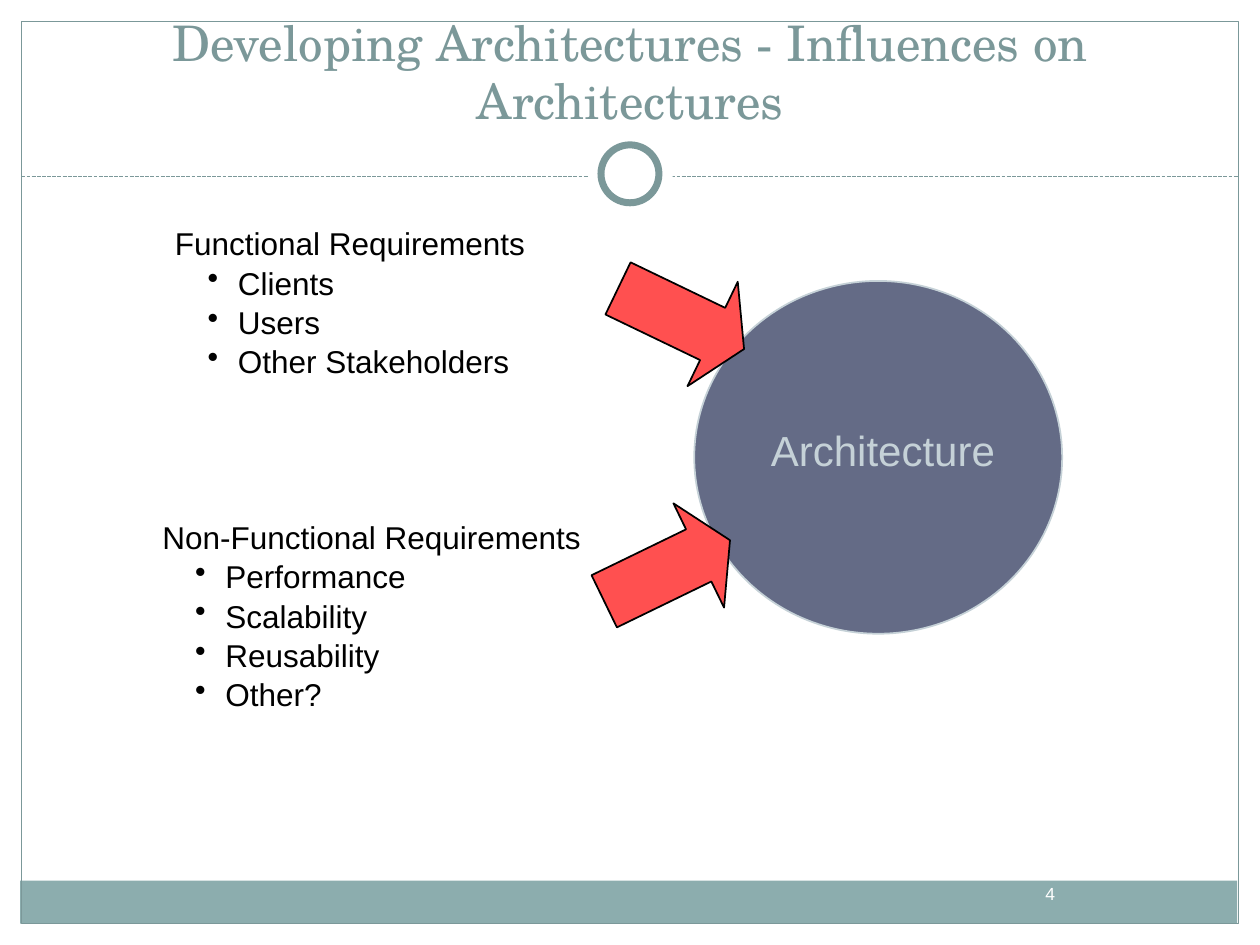
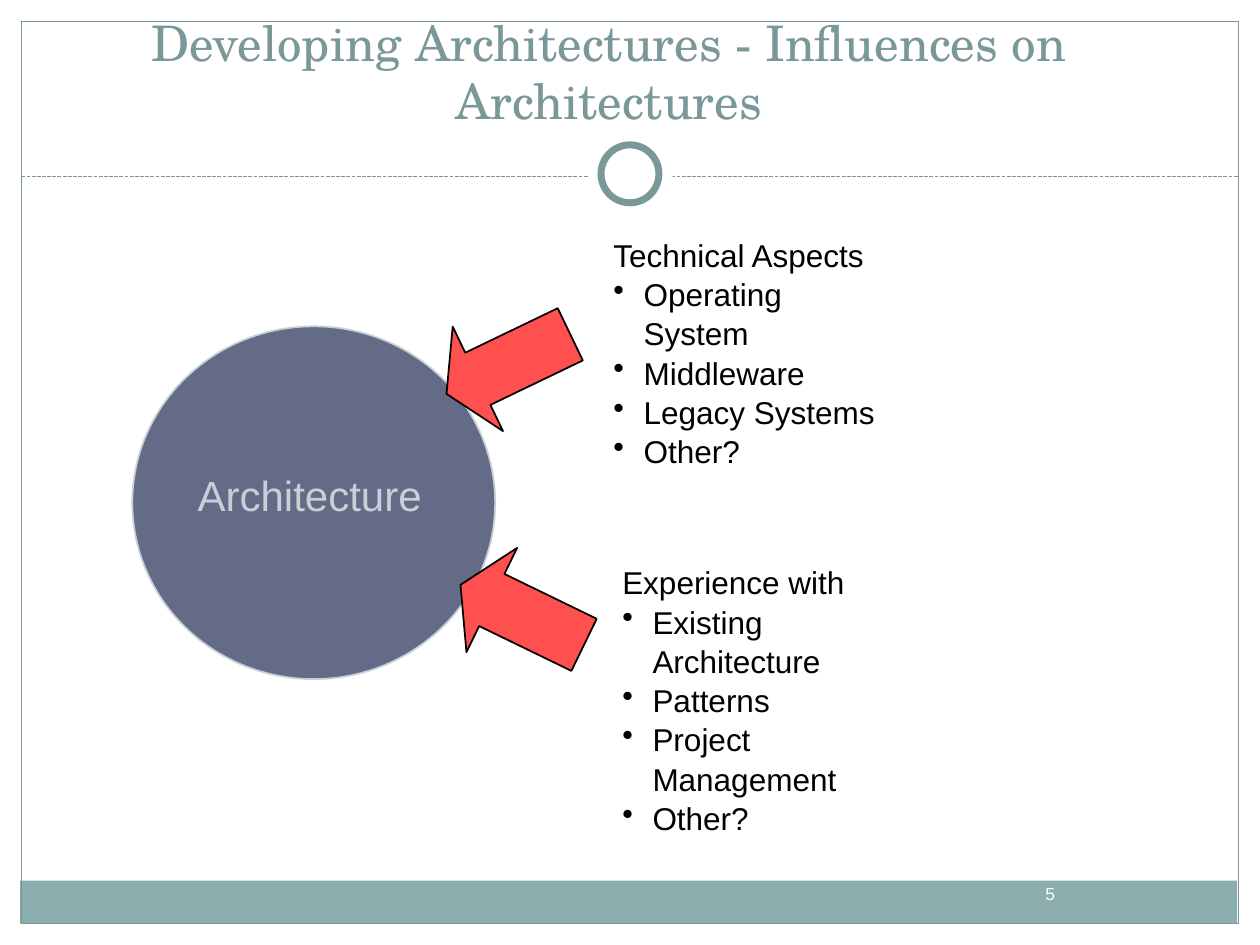
import dataclasses

import lxml.etree
import pptx
import pptx.dml.color
import pptx.enum.dml
import pptx.enum.shapes
import pptx.enum.text
import pptx.oxml.ns
import pptx.util

Inches = pptx.util.Inches
Pt = pptx.util.Pt
SHAPE = pptx.enum.shapes.MSO_SHAPE
ALIGN = pptx.enum.text.PP_ALIGN
ANCHOR = pptx.enum.text.MSO_ANCHOR
rgb = pptx.dml.color.RGBColor.from_string
qn = pptx.oxml.ns.qn


@dataclasses.dataclass(frozen=True)
class Theme:
    white: str = "FFFFFF"
    black: str = "000000"
    accent: str = "7B9899"
    band: str = "8CADAE"
    circle: str = "646B86"
    pale: str = "C5D1D7"
    arrow: str = "FF5050"
    title_font: str = "TeX Gyre Schola"
    body_font: str = "Arial"
    title_size: int = 28
    label_size: int = 24
    body_size: int = 18
    number_size: int = 10
    line_spacing: float = 1.04
    hang: float = 0.24


theme = Theme()


def add_shape(s, kind, box, fill=None, line=None, width=1):
    """Add a shadowless preset shape; no fill or line colour means none is drawn."""
    sp = s.shapes.add_shape(kind, *map(Inches, box))
    sp.shadow.inherit = False
    if fill:
        sp.fill.solid()
        sp.fill.fore_color.rgb = rgb(fill)
    else:
        sp.fill.background()
    if line:
        sp.line.color.rgb = rgb(line)
        sp.line.width = Pt(width)
    else:
        sp.line.fill.background()
    return sp


def add_text(s, text, box, size, color, font=theme.body_font, align=ALIGN.LEFT,
             anchor=ANCHOR.TOP, wrap=True):
    tf = s.shapes.add_textbox(*map(Inches, box)).text_frame
    tf.text = text
    tf.word_wrap = wrap
    tf.vertical_anchor = anchor
    for p in tf.paragraphs:
        p.alignment = align
        for r in p.runs:
            r.font.size = Pt(size)
            r.font.name = font
            r.font.color.rgb = rgb(color)
    return tf


TITLE = "Developing Architectures - Influences on Architectures"

# Arrows are (box, rotation); lists are (box, bullet text indent, heading, items).
slides = [
    dict(
        number=4,
        title_width=10,
        circle=(5.51, 2.23, 2.92, 2.8),
        label=(6.02, 3.32, 1.98, 0.5),
        arrow_kind=SHAPE.RIGHT_ARROW,
        arrows=[((4.85, 2.07, 1.11, 0.92), 25.7), ((4.74, 4.07, 1.11, 0.92), 334.1)],
        lists=[
            ((1.29, 1.72, 3.34, 1.6), 0.5, "Functional Requirements",
             ["Clients", "Users", "Other Stakeholders"]),
            ((1.19, 4.05, 3.61, 1.6), 0.5, "Non-Functional Requirements",
             ["Performance", "Scalability", "Reusability", "Other?"]),
        ],
    ),
    dict(
        number=5,
        title_width=9.66,
        circle=(1.05, 2.59, 2.88, 2.8),
        label=(1.47, 3.68, 1.98, 0.5),
        arrow_kind=SHAPE.LEFT_ARROW,
        arrows=[((3.49, 2.43, 1.09, 0.92), 334.3), ((3.6, 4.42, 1.09, 0.92), 25.9)],
        lists=[
            ((4.77, 1.81, 2.4, 1.6), theme.hang, "Technical Aspects",
             ["Operating System", "Middleware", "Legacy Systems", "Other?"]),
            ((4.84, 4.41, 2.59, 1.6), theme.hang, "Experience with",
             ["Existing Architecture", "Patterns", "Project Management", "Other?"]),
        ],
    ),
]

prs = pptx.Presentation()
prs.slide_width, prs.slide_height = Inches(10), Inches(7.5)

for content in slides:
    s = prs.slides.add_slide(prs.slide_layouts[6])

    # Shared frame, footer band and title divider
    add_shape(s, SHAPE.RECTANGLE, (0.16, 6.99, 9.66, 0.34), theme.band)
    add_shape(s, SHAPE.RECTANGLE, (0.17, 0.17, 9.66, 7.16), line=theme.accent, width=0.75)
    divider = s.shapes.add_connector(
        pptx.enum.shapes.MSO_CONNECTOR.STRAIGHT,
        Inches(0.17), Inches(1.4), Inches(9.83), Inches(1.4))
    divider.line.color.rgb = rgb(theme.accent)
    divider.line.width = Pt(0.75)
    divider.line.dash_style = pptx.enum.dml.MSO_LINE.SQUARE_DOT
    lxml.etree.SubElement(divider._element.spPr, qn("a:effectLst"))
    add_shape(s, SHAPE.OVAL, (4.67, 1.05, 0.67, 0.67), theme.white)
    add_shape(s, SHAPE.OVAL, (4.77, 1.15, 0.46, 0.46), theme.white, theme.accent, 4)

    add_text(s, TITLE, (0, 0.25, content["title_width"], 0.83), theme.title_size,
             theme.accent, theme.title_font, ALIGN.CENTER, ANCHOR.BOTTOM)
    add_text(s, str(content["number"]), (7.17, 6.83, 2.33, 0.52), theme.number_size,
             theme.white, align=ALIGN.CENTER, anchor=ANCHOR.MIDDLE)

    # Architecture circle and the arrows that point at it
    add_shape(s, SHAPE.OVAL, content["circle"], theme.circle, theme.pale)
    add_text(s, "Architecture", content["label"], theme.label_size, theme.pale, wrap=False)
    for box, rotation in content["arrows"]:
        arrow = add_shape(s, content["arrow_kind"], box, theme.arrow, theme.black)
        arrow.adjustments[0] = 0.5
        arrow.adjustments[1] = 0.3
        arrow.rotation = rotation

    # Influences: a heading with bullets under it
    for box, indent, heading, items in content["lists"]:
        tf = add_text(s, "\n".join([heading, *items]), box, theme.body_size, theme.black)
        for p in tf.paragraphs:
            p.line_spacing = theme.line_spacing
        for p in tf.paragraphs[1:]:
            pPr = p._p.get_or_add_pPr()
            pPr.set("marL", str(Inches(indent)))
            pPr.set("indent", str(-Inches(theme.hang)))
            lxml.etree.SubElement(pPr, qn("a:buChar"), char="•")

prs.save("out.pptx")
